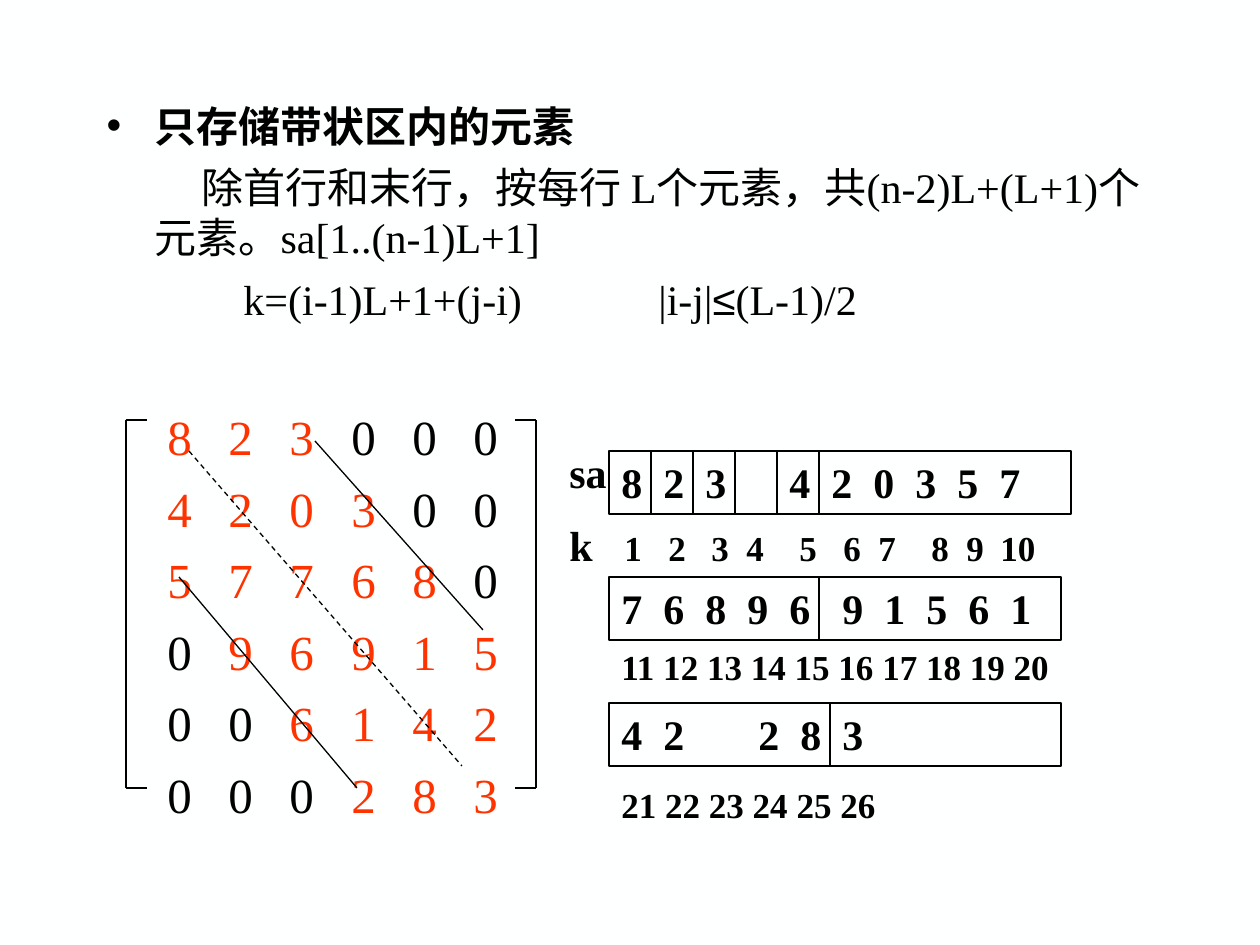
from lxml import etree
from pptx import Presentation
from pptx.dml.color import RGBColor
from pptx.enum.dml import MSO_LINE
from pptx.enum.shapes import MSO_CONNECTOR, MSO_SHAPE
from pptx.enum.text import MSO_ANCHOR, MSO_AUTO_SIZE, PP_ALIGN
from pptx.oxml.ns import qn
from pptx.util import Pt

STRAIGHT = MSO_CONNECTOR.STRAIGHT
RECTANGLE = MSO_SHAPE.RECTANGLE
DASH = MSO_LINE.DASH
TOP = MSO_ANCHOR.TOP
LEFT = PP_ALIGN.LEFT
NO_AUTOFIT = MSO_AUTO_SIZE.NONE

PX = 914400 // 126
FONT = "Times New Roman"
COLORS = {"background": "FEFFFF", "ink": "000000", "band": "FF3300"}

HEADING = "只存储带状区内的元素"
EXPLANATION = "除首行和末行，按每行 L个元素，共(n-2)L+(L+1)个元素。sa[1..(n-1)L+1]"
BODY_BOX = (94, 94, 1071, 172)
FORMULA = [("k=(i-1)L+1+(j-i)\t|i-j|", FONT), ("≤", "Arial"), ("(L-1)/2", FONT)]
FORMULA_BOX, FORMULA_STOPS = (231, 268, 800, 64), [415]

MATRIX = ["823000", "420300", "577680", "096915", "006142", "000283"]
BAND_COLUMNS = [(0, 3), (0, 4), (0, 5), (1, 6), (2, 6), (3, 6)]
MATRIX_BOX = (155, 401, 370, 430)
MATRIX_STOPS = [61, 122, 184, 245, 306]

BRACKET_TOP, BRACKET_BOTTOM, BRACKET_LIP = 420, 788, 21
BRACKETS = [(126, 1), (536, -1)]
DIAGONALS = [
    ((315, 441), (483, 630), False),
    ((179, 577), (357, 788), False),
    ((189, 451), (462, 766), True),
]

ARRAY_LEFT, ARRAY_HEIGHT, CELL = 609, 63, 42
ARRAYS = [
    (451, 462, "8 2 3 4 2 0 3 5 7", [CELL * i for i in (1, 2, 4, 5, 6, 7, 8, 9)],
     [CELL * i for i in range(1, 6)]),
    (577, 452, "7 6 8 9 6 9 1 5 6 1",
     [CELL * i for i in range(1, 5)] + [221 + CELL * i for i in range(5)], [210]),
    (703, 452, "4 2 2 8 3", [42, 137, 179, 221], [221]),
]
INDEX_STOPS = [55, 99, 142, 177, 230, 274, 309, 362, 397, 431]
LABELS = [
    ((557, 441, 63, 63), [("sa", 24)], []),
    ((557, 514, 514, 63),
     [("k", 24), ("\t" + "\t".join(str(n) for n in range(1, 11)), 20)], INDEX_STOPS),
    ((609, 640, 462, 55), [(" ".join(str(n) for n in range(11, 21)), 20)], []),
    ((609, 777, 305, 55), [(" ".join(str(n) for n in range(21, 27)), 20)], []),
]


def color(name):
    return RGBColor.from_string(COLORS[name])


def box(*lengths):
    return [length * PX for length in lengths]


def add_run(paragraph, text, size, bold=False, ink="ink", font=FONT):
    run = paragraph.add_run()
    run.text = text
    run.font.name, run.font.size, run.font.bold = font, Pt(size), bold
    run.font.color.rgb = color(ink)


def set_tabs(paragraph, stops):
    if stops:
        tab_list = etree.SubElement(paragraph._p.get_or_add_pPr(), qn("a:tabLst"))
        for stop in stops:
            etree.SubElement(tab_list, qn("a:tab"), pos=str(stop * PX), algn="l")


def format_body(paragraph, indent, bullet):
    paragraph.space_before = Pt(6)
    properties = paragraph._p.get_or_add_pPr()
    properties.set("marL", str(48 * PX))
    properties.set("indent", str(indent * PX))
    if not bullet:
        etree.SubElement(properties, qn("a:buNone"))


def add_line(slide, start, end, dashed=False):
    line = slide.shapes.add_connector(STRAIGHT, *box(*start, *end))
    line.line.color.rgb = color("ink")
    line.line.width = Pt(0.75)
    if dashed:
        line.line.dash_style = DASH
    etree.SubElement(line._element.spPr, qn("a:effectLst"))


def prepare_frame(shape):
    frame = shape.text_frame
    frame.word_wrap = True
    frame.vertical_anchor = TOP
    frame.margin_top = 6 * PX
    return frame


def write_row(shape, parts, stops):
    paragraph = prepare_frame(shape).paragraphs[0]
    paragraph.alignment = LEFT
    set_tabs(paragraph, stops)
    for text, size in parts:
        add_run(paragraph, text, size, bold=True)


def fill_body(body):
    body.left, body.top, body.width, body.height = box(*BODY_BOX)
    frame = body.text_frame
    frame.auto_size = NO_AUTOFIT
    heading = frame.paragraphs[0]
    format_body(heading, -48, True)
    add_run(heading, HEADING, 24, bold=True)
    explanation = frame.add_paragraph()
    format_body(explanation, 47, False)
    add_run(explanation, EXPLANATION, 24)


def add_formula(slide):
    frame = prepare_frame(slide.shapes.add_textbox(*box(*FORMULA_BOX)))
    paragraph = frame.paragraphs[0]
    set_tabs(paragraph, FORMULA_STOPS)
    for text, font in FORMULA:
        add_run(paragraph, text, 24, font=font)


def add_matrix(slide):
    frame = prepare_frame(slide.shapes.add_textbox(*box(*MATRIX_BOX)))
    for index, (digits, (first, last)) in enumerate(zip(MATRIX, BAND_COLUMNS)):
        row = frame.add_paragraph() if index else frame.paragraphs[0]
        row.space_before = Pt(7.2 if index else 0)
        set_tabs(row, MATRIX_STOPS)
        for start, end, ink in [(0, first, "ink"), (first, last, "band"), (last, 6, "ink")]:
            if start < end:
                lead = "\t" if start else ""
                add_run(row, lead + "\t".join(digits[start:end]), 28, ink=ink)


def main():
    presentation = Presentation()
    presentation.slide_width, presentation.slide_height = box(1260, 945)
    slide = presentation.slides.add_slide(presentation.slide_layouts[1])
    slide.background.fill.solid()
    slide.background.fill.fore_color.rgb = color("background")
    title = slide.shapes.title._element
    title.getparent().remove(title)
    fill_body(slide.placeholders[1])
    add_formula(slide)
    add_matrix(slide)

    for x, direction in BRACKETS:
        add_line(slide, (x, BRACKET_TOP), (x, BRACKET_BOTTOM))
        for y in (BRACKET_TOP, BRACKET_BOTTOM):
            add_line(slide, (x, y), (x + direction * BRACKET_LIP, y))
    for start, end, dashed in DIAGONALS:
        add_line(slide, start, end, dashed)

    for top, width, values, stops, dividers in ARRAYS:
        array = slide.shapes.add_shape(RECTANGLE, *box(ARRAY_LEFT, top, width, ARRAY_HEIGHT))
        array.shadow.inherit = False
        array.fill.background()
        array.line.color.rgb = color("ink")
        array.line.width = Pt(0.75)
        write_row(array, [("\t".join(values.split()), 24)], stops)
        for offset in dividers:
            x = ARRAY_LEFT + offset
            add_line(slide, (x, top), (x, top + ARRAY_HEIGHT))

    for position, parts, stops in LABELS:
        write_row(slide.shapes.add_textbox(*box(*position)), parts, stops)
    presentation.save("out.pptx")


if __name__ == "__main__":
    main()
